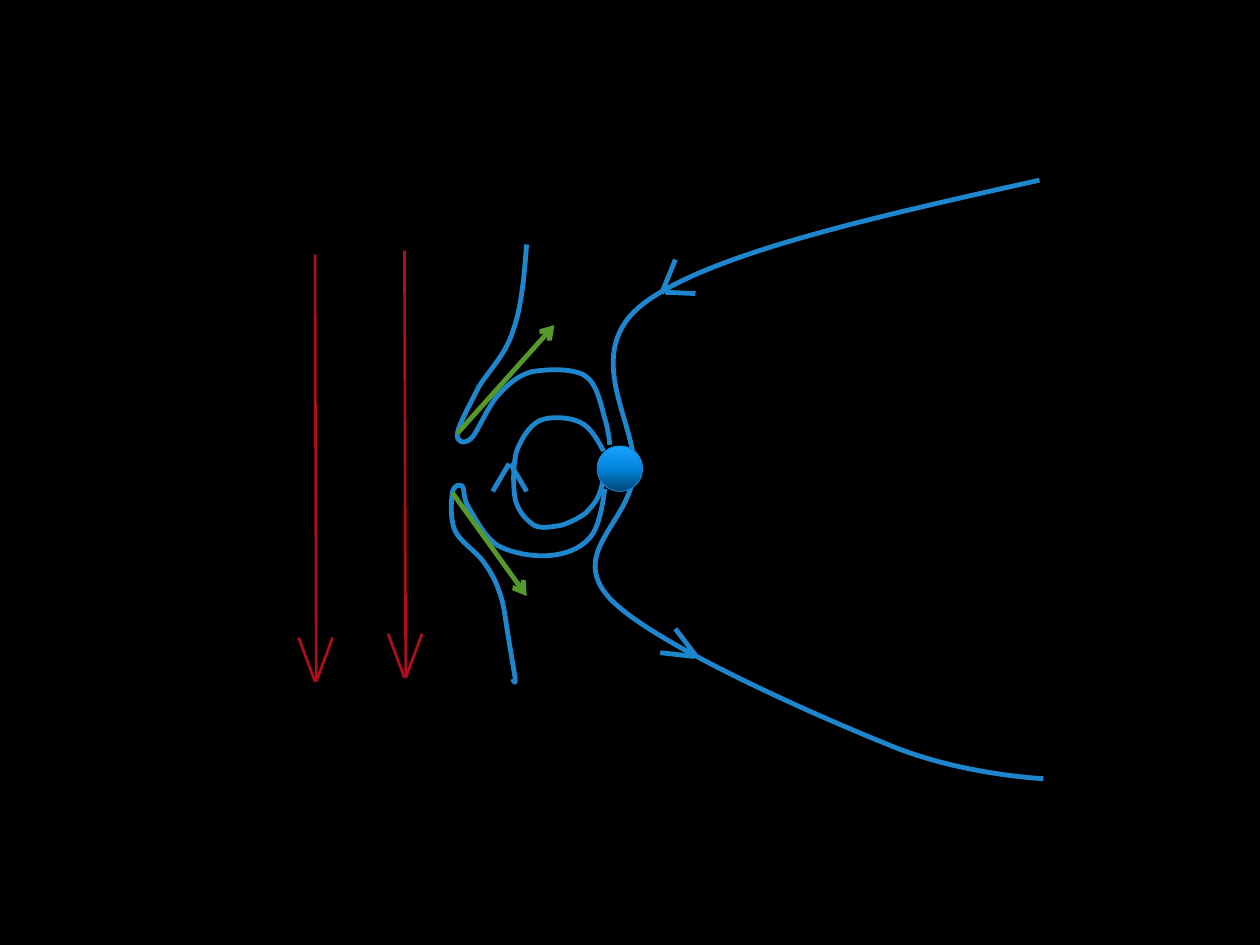
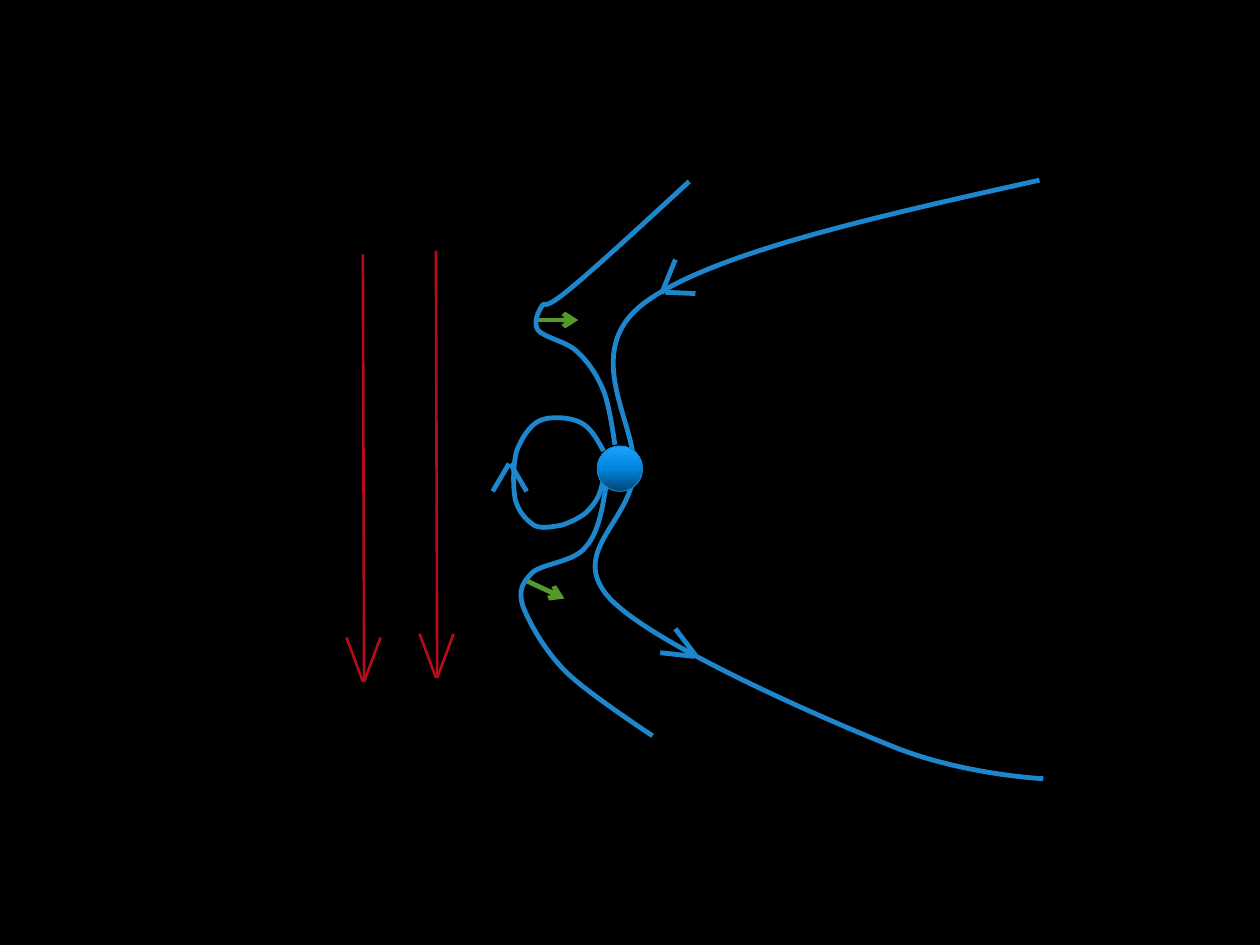
"""Builds two diagrams of a flow of red arrows meeting the field lines around a sphere."""
from copy import deepcopy

from lxml import etree
from pptx import Presentation
from pptx import util as u
from pptx.dml.color import RGBColor
from pptx.enum import shapes
from pptx.oxml.ns import qn

BLACK = RGBColor(0x00, 0x00, 0x00)
FIELD_BLUE = RGBColor(0x1D, 0x86, 0xCD)
FLOW_RED = RGBColor(0xB5, 0x0B, 0x1B)
FORCE_GREEN = RGBColor(0x55, 0x99, 0x2B)
SPHERE_EDGE = RGBColor(0x18, 0x84, 0xCD)
SPHERE_STOPS = (
    (0, RGBColor(0x01, 0x45, 0x73)),
    (0.5, RGBColor(0x02, 0x85, 0xDD)),
    (1, RGBColor(0x1A, 0xA3, 0xFF)),
)
FIELD_WIDTH = 2.75
FLOW_WIDTH = 1.5

TAIL_FIELD = (
    (8.25, 1.43), (6.95, 1.72), (5.65, 2.01), (5.12, 2.4), (4.58, 2.8), (5.08, 3.38),
    (5.03, 3.77), (4.98, 4.16), (4.51, 4.39), (4.84, 4.75), (5.18, 5.11), (6.48, 5.68),
    (7.05, 5.91), (7.62, 6.15), (8.28, 6.18), (8.28, 6.18),
)
CLOSED_FIELD = (
    (4.79, 3.58), (4.74, 3.49), (4.69, 3.39), (4.6, 3.35), (4.52, 3.31), (4.36, 3.3),
    (4.28, 3.34), (4.2, 3.38), (4.14, 3.48), (4.1, 3.58), (4.07, 3.69), (4.07, 3.87),
    (4.09, 3.97), (4.12, 4.07), (4.18, 4.13), (4.24, 4.17), (4.3, 4.2), (4.38, 4.18),
    (4.45, 4.17), (4.52, 4.15), (4.6, 4.11), (4.65, 4.07), (4.7, 4.02), (4.74, 3.97),
    (4.76, 3.91), (4.79, 3.84), (4.8, 3.7), (4.8, 3.7),
)
NORTH_BENT_FIELD = (
    (4.18, 1.94), (4.16, 2.19), (4.14, 2.44), (4.07, 2.63), (4.01, 2.82), (3.88, 2.94),
    (3.8, 3.07), (3.73, 3.21), (3.64, 3.37), (3.63, 3.44), (3.62, 3.51), (3.68, 3.53),
    (3.74, 3.48), (3.79, 3.43), (3.87, 3.23), (3.95, 3.14), (4.03, 3.05), (4.11, 2.98),
    (4.22, 2.95), (4.34, 2.93), (4.54, 2.92), (4.64, 2.98), (4.74, 3.04), (4.77, 3.22),
    (4.8, 3.32), (4.83, 3.41), (4.84, 3.53), (4.84, 3.53),
)
SOUTH_BENT_FIELD = (
    (4.8, 3.88), (4.78, 4.03), (4.75, 4.19), (4.68, 4.27), (4.6, 4.36), (4.48, 4.4),
    (4.36, 4.41), (4.23, 4.42), (4.06, 4.39), (3.95, 4.33), (3.85, 4.27), (3.77, 4.11),
    (3.72, 4.03), (3.67, 3.95), (3.69, 3.88), (3.67, 3.86), (3.65, 3.84), (3.6, 3.85),
    (3.59, 3.91), (3.58, 3.97), (3.57, 4.12), (3.61, 4.21), (3.65, 4.3), (3.77, 4.37),
    (3.83, 4.45), (3.89, 4.53), (3.93, 4.6), (3.96, 4.69), (4, 4.79), (4.01, 4.91),
    (4.03, 5.03), (4.05, 5.15), (4.08, 5.33), (4.09, 5.39), (4.09, 5.45), (4.07, 5.39),
    (4.07, 5.39),
)
NORTH_OPEN_FIELD = (
    (5.47, 1.44), (5.08, 1.8), (4.69, 2.16), (4.49, 2.32), (4.29, 2.48), (4.34, 2.38),
    (4.3, 2.43), (4.27, 2.48), (4.23, 2.56), (4.27, 2.62), (4.32, 2.68), (4.5, 2.71),
    (4.58, 2.79), (4.67, 2.87), (4.74, 2.98), (4.79, 3.1), (4.84, 3.22), (4.88, 3.53),
    (4.88, 3.53),
)
SOUTH_OPEN_FIELD = (
    (4.81, 3.86), (4.78, 4.04), (4.75, 4.23), (4.65, 4.34), (4.56, 4.46), (4.32, 4.47),
    (4.23, 4.54), (4.15, 4.62), (4.11, 4.68), (4.15, 4.81), (4.2, 4.94), (4.32, 5.16),
    (4.49, 5.33), (4.66, 5.5), (5.18, 5.84), (5.18, 5.84),
)
SOUTH_CHEVRON = (((5.51, 5.21), (5.24, 5.18)), ((5.52, 5.2), (5.36, 4.99)))
NORTH_CHEVRON = (((5.25, 2.33), (5.36, 2.06)), ((5.28, 2.32), (5.52, 2.33)))
CLOSED_CHEVRON = (((4.04, 3.68), (3.91, 3.9)), ((4.05, 3.68), (4.18, 3.9)))


class FieldDiagram:
    """Holds the presentation's style and the slide being drawn."""

    def __init__(self):
        self.presentation = Presentation()
        self.presentation.slide_width = u.Inches(10)
        self.presentation.slide_height = u.Inches(7.5)
        background = self.presentation.slide_master.background.fill
        background.solid()
        background.fore_color.rgb = BLACK
        self.slide = None

    def new_slide(self):
        """Starts a slide with the sphere and the field lines that all slides share."""
        self.slide = self.presentation.slides.add_slide(self.presentation.slide_layouts[6])
        self.line_group(SOUTH_CHEVRON, FIELD_BLUE, FIELD_WIDTH)
        self.line_group(NORTH_CHEVRON, FIELD_BLUE, FIELD_WIDTH)
        self.curve(TAIL_FIELD)
        self.curve(CLOSED_FIELD)
        self.sphere(4.74, 3.54, 0.36)
        self.line_group(CLOSED_CHEVRON, FIELD_BLUE, FIELD_WIDTH)

    def line(self, start, end, color, width, parent=None):
        """Draws a straight line on the slide or in a group."""
        ends = [u.Inches(value) for value in (*start, *end)]
        connector = (parent or self.slide).shapes.add_connector(
            shapes.MSO_CONNECTOR.STRAIGHT, *ends)
        connector.line.color.rgb = color
        connector.line.width = u.Pt(width)
        etree.SubElement(connector.element.spPr, qn("a:effectLst"))
        return connector

    def line_group(self, lines, color, width):
        """Draws several lines as one group."""
        group = self.slide.shapes.add_group_shape()
        for start, end in lines:
            self.line(start, end, color, width, group)

    def flow_arrow(self, left, top):
        """Draws a long red arrow downwards with an open head."""
        right, tip = left + 0.01, top + 3.39
        self.line_group((
            ((left, top), (right, tip)),
            ((left, tip), (left - 0.13, tip - 0.35)),
            ((right, tip), (right + 0.13, tip - 0.35)),
        ), FLOW_RED, FLOW_WIDTH)

    def force_arrow(self, start, end):
        """Draws a green arrow."""
        connector = self.line(start, end, FORCE_GREEN, FIELD_WIDTH)
        outline = connector.element.spPr.find(qn("a:ln"))
        etree.SubElement(outline, qn("a:tailEnd"), type="arrow")

    def curve(self, points):
        """Draws a blue chain of cubic curves: a start, then two controls and an end each."""
        points = [(u.Inches(x), u.Inches(y)) for x, y in points]
        builder = self.slide.shapes.build_freeform(*points[0])
        builder.add_line_segments(points[3::3], close=False)
        shape = builder.convert_to_shape()
        for index, segment in enumerate(list(shape.element.iter(qn("a:lnTo")))):
            segment.tag = qn("a:cubicBezTo")
            for place, (x, y) in enumerate(points[3 * index + 1:3 * index + 3]):
                control = etree.Element(
                    qn("a:pt"), x=str(x - shape.left), y=str(y - shape.top))
                segment.insert(place, control)
        shape.fill.background()
        shape.line.color.rgb = FIELD_BLUE
        shape.line.width = u.Pt(FIELD_WIDTH)
        shape.shadow.inherit = False

    def sphere(self, left, top, size):
        """Draws the shaded sphere."""
        shape = self.slide.shapes.add_shape(
            shapes.MSO_SHAPE.OVAL, *map(u.Inches, (left, top, size, size)))
        shape.fill.gradient()
        shape.fill.gradient_angle = 90
        stop_list = next(shape.element.iter(qn("a:gsLst")))
        stop_list.append(deepcopy(stop_list[0]))
        for stop, (position, color) in zip(shape.fill.gradient_stops, SPHERE_STOPS):
            stop.position = position
            stop.color.rgb = color
        shape.line.color.rgb = SPHERE_EDGE
        shape.line.width = u.Pt(0.5)
        shape.shadow.inherit = False


def main():
    diagram = FieldDiagram()

    diagram.new_slide()
    diagram.flow_arrow(3.21, 1.99)
    diagram.curve(NORTH_BENT_FIELD)
    diagram.curve(SOUTH_BENT_FIELD)
    diagram.force_arrow((3.63, 3.44), (4.4, 2.58))
    diagram.force_arrow((3.59, 3.91), (4.18, 4.73))
    diagram.flow_arrow(2.5, 2.02)

    diagram.new_slide()
    diagram.flow_arrow(3.46, 1.99)
    diagram.force_arrow((4.25, 2.54), (4.59, 2.54))
    diagram.force_arrow((4.18, 4.61), (4.48, 4.75))
    diagram.flow_arrow(2.88, 2.02)
    diagram.curve(NORTH_OPEN_FIELD)
    diagram.curve(SOUTH_OPEN_FIELD)

    diagram.presentation.save("out.pptx")


if __name__ == "__main__":
    main()
